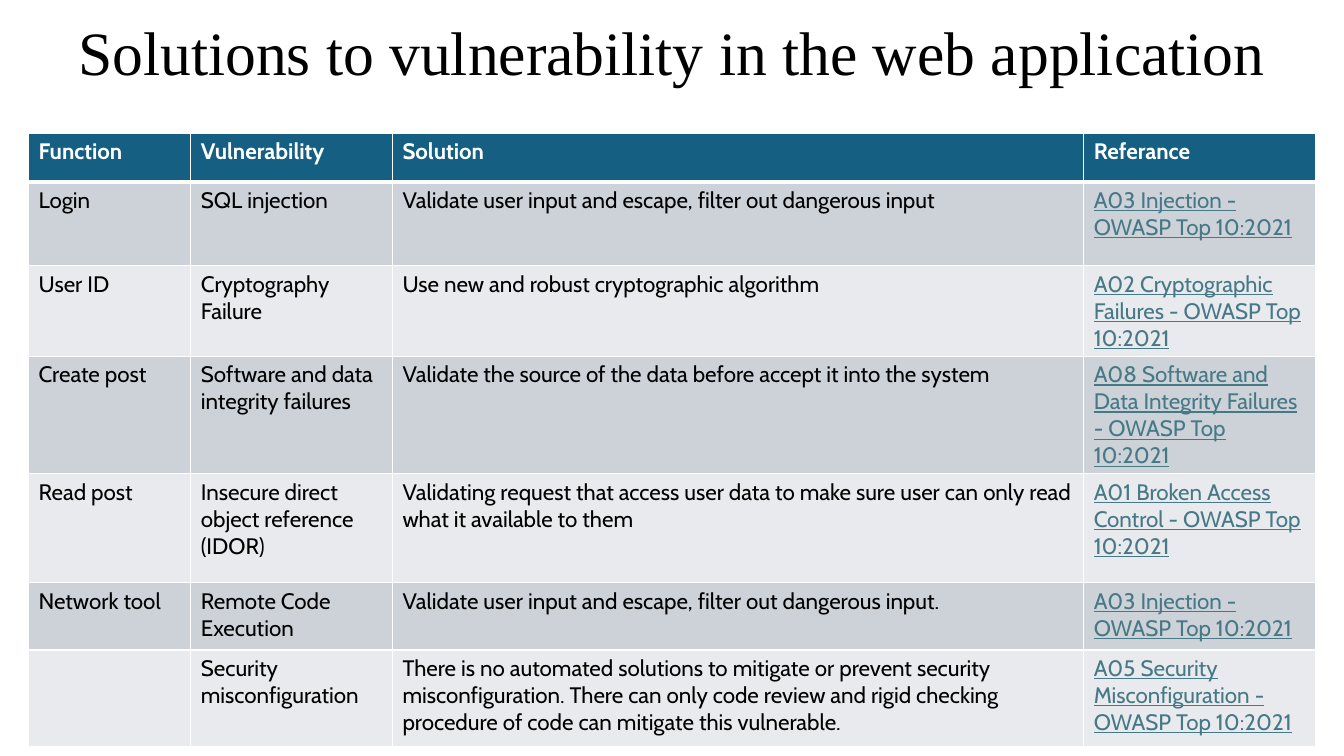
from lxml.etree import SubElement
from pptx import Presentation
from pptx.dml.color import RGBColor
from pptx.enum.text import MSO_ANCHOR, PP_ALIGN
from pptx.oxml.ns import qn
from pptx.util import Cm, Pt

COLORS = {
    "white": "FFFFFF",
    "black": "000000",
    "header": "156082",
    "dark_band": "CCD2D8",
    "light_band": "E8EAED",
    "reference": "467886",
}
COLUMN_WIDTHS = [4.09, 5.08, 17.42, 5.84]
ROW_HEIGHTS = [1.22, 2.11, 1.7, 2.11, 2.74, 1.7, 2.44]
ROWS = [
    ("Function", "Vulnerability", "Solution", "Referance"),
    ("Login", "SQL injection",
     "Validate user input and escape, filter out dangerous input",
     "A03 Injection - OWASP Top 10:2021"),
    ("User ID", "Cryptography Failure",
     "Use new and robust cryptographic algorithm",
     "A02 Cryptographic Failures - OWASP Top 10:2021"),
    ("Create post", "Software and data integrity failures",
     "Validate the source of the data before accept it into the system",
     "A08 Software and Data Integrity Failures - OWASP Top 10:2021"),
    ("Read post", "Insecure direct object reference (IDOR)",
     "Validating request that access user data to make sure user can only read "
     "what it available to them",
     "A01 Broken Access Control - OWASP Top 10:2021"),
    ("Network tool", "Remote Code Execution",
     "Validate user input and escape, filter out dangerous input.",
     "A03 Injection - OWASP Top 10:2021"),
    ("", "Security misconfiguration",
     "There is no automated solutions to mitigate or prevent security "
     "misconfiguration. There can only code review and rigid checking "
     "procedure of code can mitigate this vulnerable.",
     "A05 Security Misconfiguration - OWASP Top 10:2021"),
]


class SlideBuilder:
    title_font = "Times New Roman"
    table_font = "Cabin"

    def __init__(self, presentation):
        self.slide = presentation.slides.add_slide(presentation.slide_layouts[6])

    def color(self, name):
        return RGBColor.from_string(COLORS[name])

    def format_runs(self, paragraph, name, size, color, bold=False, underline=False):
        for run in paragraph.runs:
            run.font.name = name
            run.font.size = Pt(size)
            run.font.bold = bold
            run.font.underline = underline
            run.font.color.rgb = self.color(color)

    def add_title(self, text, left, top, width, height):
        shape = self.slide.shapes.add_textbox(Cm(left), Cm(top), Cm(width), Cm(height))
        text_frame = shape.text_frame
        text_frame.word_wrap = True
        text_frame.vertical_anchor = MSO_ANCHOR.MIDDLE
        text_frame.text = text
        paragraph = text_frame.paragraphs[0]
        paragraph.alignment = PP_ALIGN.CENTER
        paragraph.line_spacing = 0.9
        self.format_runs(paragraph, self.title_font, 44, "black")

    def add_borders(self, cell, top, bottom):
        properties = cell._tc.get_or_add_tcPr()
        for side, width in (("L", 1), ("R", 1), ("T", top), ("B", bottom)):
            line = SubElement(properties, qn(f"a:ln{side}"), w=str(Pt(width)))
            fill = SubElement(line, qn("a:solidFill"))
            SubElement(fill, qn("a:srgbClr"), val=COLORS["white"])

    def fill_cell(self, cell, text, row_index, is_reference):
        is_header = row_index == 0
        self.add_borders(cell, 3 if row_index == 1 else 1, 3 if is_header else 1)
        band = "dark_band" if row_index % 2 else "light_band"
        cell.fill.solid()
        cell.fill.fore_color.rgb = self.color("header" if is_header else band)
        cell.text_frame.text = text
        linked = is_reference and not is_header
        text_color = "white" if is_header else "reference" if linked else "black"
        self.format_runs(cell.text_frame.paragraphs[0], self.table_font, 16,
                         text_color, bold=is_header, underline=linked)

    def add_table(self, rows, left, top, column_widths, row_heights):
        table = self.slide.shapes.add_table(
            len(rows), len(column_widths), Cm(left), Cm(top),
            Cm(sum(column_widths)), Cm(sum(row_heights))).table
        for column, width in zip(table.columns, column_widths):
            column.width = Cm(width)
        for row, height in zip(table.rows, row_heights):
            row.height = Cm(height)
        last_column = len(column_widths) - 1
        for row_index, texts in enumerate(rows):
            for column_index, text in enumerate(texts):
                self.fill_cell(table.cell(row_index, column_index), text,
                               row_index, column_index == last_column)


def main():
    presentation = Presentation()
    presentation.slide_width = Cm(33.87)
    presentation.slide_height = Cm(19.05)
    builder = SlideBuilder(presentation)
    builder.add_title("Solutions to vulnerability in the web application",
                      1.63, 0.15, 30.63, 2.51)
    builder.add_table(ROWS, 0.72, 3.36, COLUMN_WIDTHS, ROW_HEIGHTS)
    presentation.save("out.pptx")


if __name__ == "__main__":
    main()
